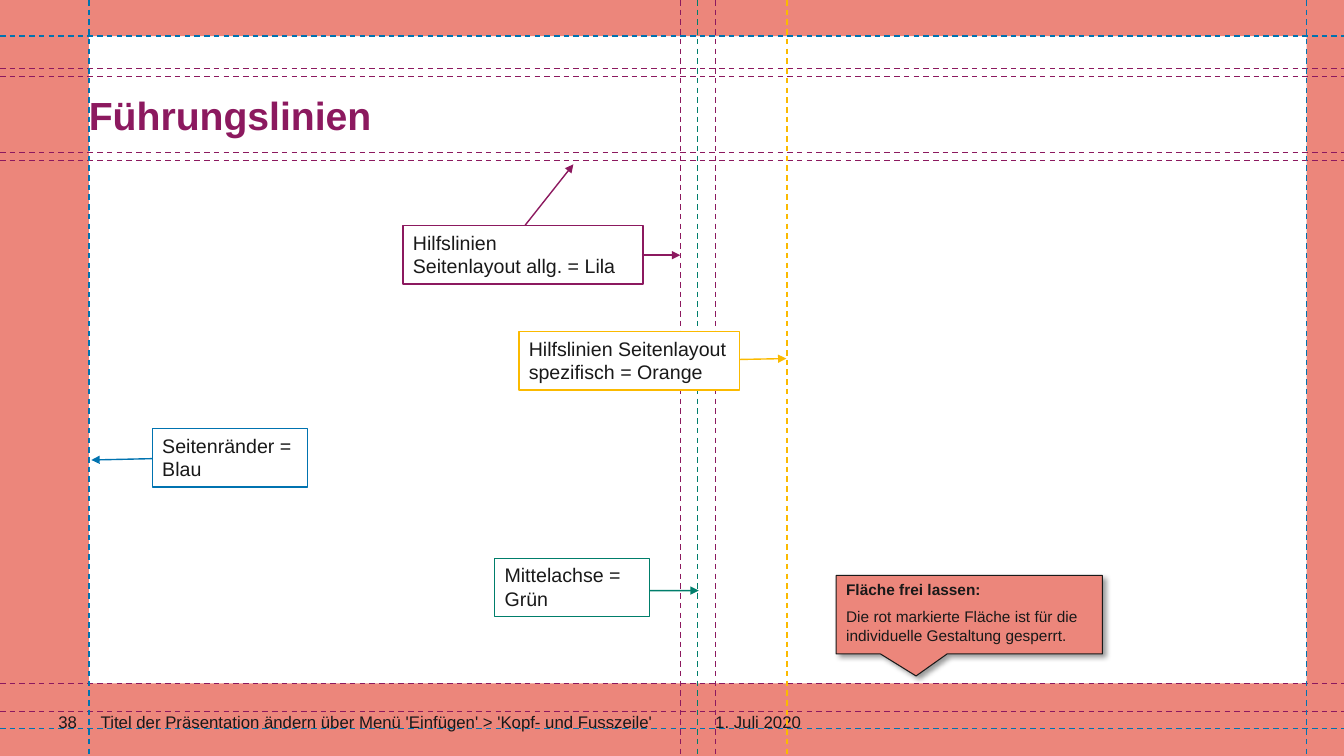
from pptx import Presentation
from pptx.dml.color import RGBColor
from pptx.enum.dml import MSO_LINE
from pptx.enum.shapes import MSO_CONNECTOR, MSO_SHAPE
from pptx.enum.text import MSO_ANCHOR, PP_ALIGN
from pptx.oxml import parse_xml
from pptx.oxml.ns import nsdecls, qn
from pptx.util import Cm, Pt
from lxml.etree import SubElement

WIDTH, HEIGHT = 33.88, 19.05
LEFT, RIGHT, TOP, BOTTOM = 2.24, 32.94, 0.91, 17.22
FOOTER = 17.93
BLUE, PURPLE, GREEN, ORANGE = "0073B0", "8C195F", "007E6B", "FBBA00"
RED, INK, WHITE = "EC867B", "191919", "FFFFFF"


def rgb(value):
    return RGBColor.from_string(value)


def write(p, text, size=14, color=INK, bold=False, align=PP_ALIGN.LEFT, after=0):
    p.text = text
    p.alignment = align
    p.space_after = Pt(after)
    for r in p.runs:
        r.font.name = "Arial"
        r.font.size = Pt(size)
        r.font.bold = bold
        r.font.color.rgb = rgb(color)


class GuideSlide:
    def __init__(self, prs):
        self.s = prs.slides.add_slide(prs.slide_layouts[5])

    def frame(self, tf, anchor=MSO_ANCHOR.TOP, insets=None):
        tf.word_wrap = True
        tf.vertical_anchor = anchor
        if insets:
            tf.margin_left, tf.margin_right = map(Cm, insets)
            tf.margin_top = tf.margin_bottom = 0

    def title(self, text, *box):
        sp = self.s.shapes.title
        sp.left, sp.top, sp.width, sp.height = map(Cm, box)
        self.frame(sp.text_frame, MSO_ANCHOR.MIDDLE, (0, 0))
        write(sp.text_frame.paragraphs[0], text, size=28, color=PURPLE, bold=True)

    def border(self):
        fb = self.s.shapes.build_freeform(Cm(LEFT), Cm(TOP))
        inner = [(LEFT, BOTTOM), (RIGHT, BOTTOM), (RIGHT, TOP)]
        outer = [(WIDTH, 0), (WIDTH, HEIGHT), (0, HEIGHT)]
        fb.add_line_segments([(Cm(x), Cm(y)) for x, y in inner])
        fb.move_to(0, 0)
        fb.add_line_segments([(Cm(x), Cm(y)) for x, y in outer])
        sp = fb.convert_to_shape()
        sp.shadow.inherit = False
        sp.fill.solid()
        sp.fill.fore_color.rgb = rgb(RED)
        sp.line.fill.background()

    def text(self, text, *box, insets=(0, 0), **fmt):
        tf = self.s.shapes.add_textbox(*map(Cm, box)).text_frame
        self.frame(tf, insets=insets)
        write(tf.paragraphs[0], text, size=12, **fmt)

    def arrowhead(self, line):
        SubElement(line._get_or_add_ln(), qn("a:tailEnd"), type="triangle")

    def line(self, color, *ends, arrow=False):
        cx = self.s.shapes.add_connector(MSO_CONNECTOR.STRAIGHT, *map(Cm, ends))
        cx.line.color.rgb = rgb(color)
        cx.line.width = Pt(1)
        if arrow:
            self.arrowhead(cx.line)
        else:
            cx.line.dash_style = MSO_LINE.DASH
        SubElement(cx._element.spPr, qn("a:effectLst"))

    def box(self, kind, box, adjustments, fill, line, weight):
        sp = self.s.shapes.add_shape(kind, *map(Cm, box))
        for i, value in enumerate(adjustments):
            sp.adjustments[i] = value
        sp.shadow.inherit = False
        sp.fill.solid()
        sp.fill.fore_color.rgb = rgb(fill)
        sp.line.color.rgb = rgb(line)
        sp.line.width = Pt(weight)
        self.frame(sp.text_frame)
        return sp

    def callout(self, text, color, x, y, width, adjustments):
        sp = self.box(MSO_SHAPE.LINE_CALLOUT_1, (x, y, width, 1.47),
                      adjustments, WHITE, color, 1)
        self.arrowhead(sp.line)
        write(sp.text_frame.paragraphs[0], text)

    def note(self, heading, text, *box):
        sp = self.box(MSO_SHAPE.RECTANGULAR_CALLOUT, box, (-0.2, 0.78), RED, INK, 0.75)
        effects = sp._element.spPr.find(qn("a:effectLst"))
        effects.append(parse_xml(
            f'<a:outerShdw {nsdecls("a")} blurRad="{Pt(4)}" dist="{Pt(3)}" dir="2700000"'
            ' algn="tl" rotWithShape="0"><a:srgbClr val="000000">'
            '<a:alpha val="40000"/></a:srgbClr></a:outerShdw>'))
        tf = sp.text_frame
        write(tf.paragraphs[0], heading, size=11, bold=True, after=6)
        write(tf.add_paragraph(), text, size=11)


def main():
    prs = Presentation()
    prs.slide_width, prs.slide_height = Cm(WIDTH), Cm(HEIGHT)
    s = GuideSlide(prs)

    # Blocked border, footer and title
    s.border()
    s.text("1. Juli 2020", 18.03, FOOTER, 9.37, 0.51)
    s.text("Titel der Präsentation ändern über Menü 'Einfügen' > 'Kopf- und Fusszeile'",
           LEFT, FOOTER, 14.91, 0.91, insets=(0.3, 0))
    s.text("38", 0.74, FOOTER, 1.5, 0.51, insets=(0, 0.3), align=PP_ALIGN.RIGHT)
    s.title("Führungslinien", LEFT, 1.93, 17.6, 1.91)

    # Guides
    for y, color in [(TOP, BLUE), (1.73, PURPLE), (1.93, PURPLE), (3.84, PURPLE),
                     (4.04, PURPLE), (BOTTOM, PURPLE), (FOOTER, PURPLE), (18.36, BLUE)]:
        s.line(color, 0, y, WIDTH, y)
    for x, color in [(LEFT, BLUE), (17.15, PURPLE), (17.58, GREEN), (18.03, PURPLE),
                     (19.84, ORANGE), (RIGHT, BLUE)]:
        s.line(color, x, 0, x, HEIGHT)

    # Callouts
    s.callout("Seitenränder = Blau", BLUE, 3.84, 10.8, 3.91, (0.516, 0, 0.539, -0.393))
    s.callout("Hilfslinien \vSeitenlayout allg. = Lila", PURPLE, 10.16, 5.69, 6.05,
              (-0.01, 0.509, -1.054, 0.71))
    s.line(PURPLE, 16.18, 6.43, 17.15, 6.43, arrow=True)
    s.callout("Hilfslinien Seitenlayout spezifisch = Orange", ORANGE, 13.08, 8.36, 5.56,
              (0.476, 1, 0.46, 1.213))
    s.callout("Mittelachse = Grün", GREEN, 12.47, 14.07, 3.91, (0.555, 1, 0.553, 1.316))
    s.note("Fläche frei lassen:",
           "Die rot markierte Fläche ist für die individuelle Gestaltung gesperrt.",
           21.08, 14.5, 6.71, 1.98)

    prs.save("out.pptx")


if __name__ == "__main__":
    main()
